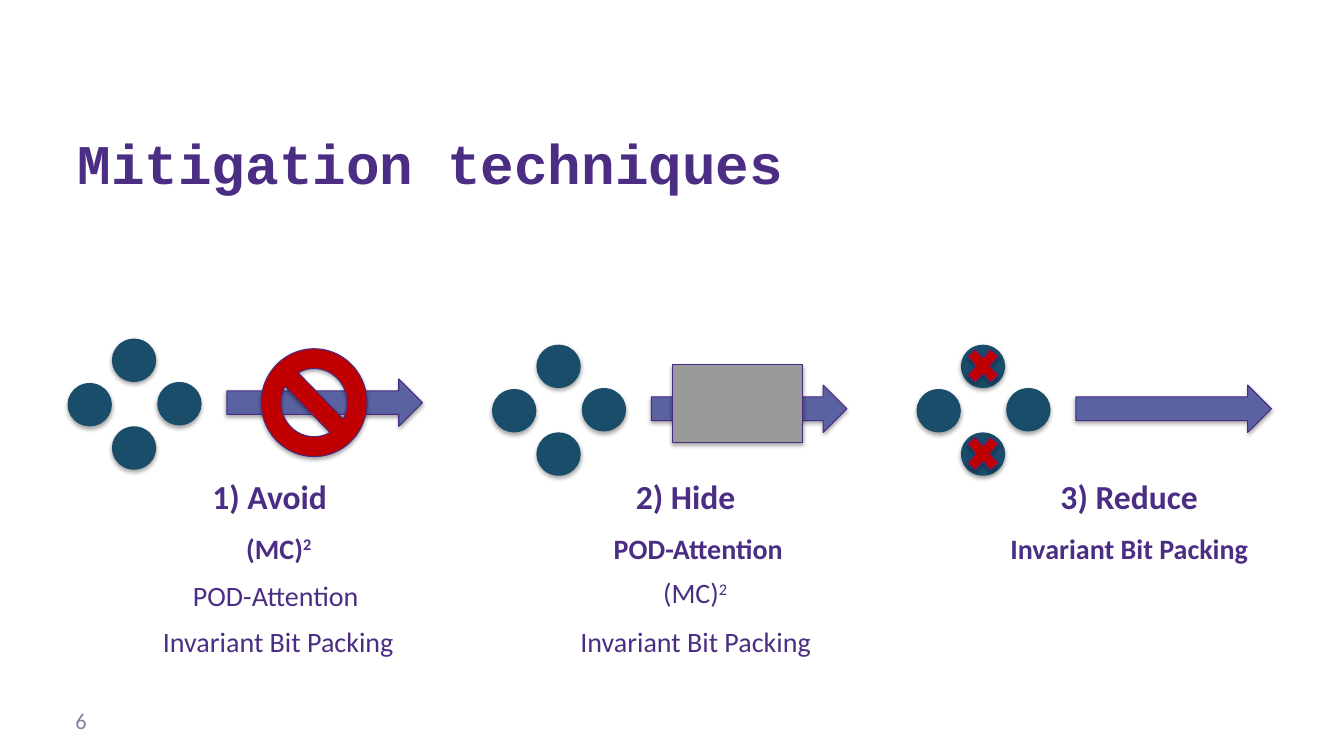
"""Build the slide on three mitigation techniques."""
import pptx
import pptx.dml.color
import pptx.enum.shapes
import pptx.enum.text
import pptx.oxml
import pptx.oxml.ns
import pptx.util
from pptx.util import Inches

SHAPE = pptx.enum.shapes.MSO_SHAPE
ALIGN = pptx.enum.text.PP_ALIGN
ANCHOR = pptx.enum.text.MSO_ANCHOR
COLORS = {
    "heading": "4B2E83", "number": "867EA3", "dot": "194D6A", "arrow": "5A62A1",
    "outline": "492B82", "ban": "C00000", "cover": "999999",
}
SHADOW = (
    f'<a:outerShdw {pptx.oxml.ns.nsdecls("a")} blurRad="39370" dist="22860" dir="5400000" '
    'rotWithShape="0"><a:srgbClr val="000000"><a:alpha val="35000"/></a:srgbClr></a:outerShdw>'
)
DOT_SIZE = (0.44, 0.43)
DOT_OFFSETS = [(0, 0.44), (0.44, 0), (0.44, 0.87), (0.89, 0.43)]
CLUSTER_LEFT, CLUSTER_PITCH = 0.67, 4.21
CLUSTER_TOPS = [3.36, 3.42, 3.42]
HEADINGS = [
    ("1) Avoid", (2, 4.67, 1.35, 0.5)),
    ("2) Hide", (6.2, 4.67, 1.2, 0.5)),
    ("3) Reduce", (10.41, 4.67, 1.58, 0.5)),
]
METHODS = [
    ("(MC)", "2", (2.33, 5.22, 0.87, 0.44), True),
    ("POD-Attention", "", (5.97, 5.22, 1.91, 0.44), True),
    ("Invariant Bit Packing", "", (9.91, 5.22, 2.58, 0.44), True),
    ("POD-Attention", "", (1.78, 5.69, 1.91, 0.44), False),
    ("Invariant Bit Packing", "", (1.47, 6.15, 2.58, 0.44), False),
    ("(MC)", "2", (6.46, 5.66, 0.87, 0.44), False),
    ("Invariant Bit Packing", "", (5.61, 6.15, 2.58, 0.44), False),
]


def rgb(name):
    return pptx.dml.color.RGBColor.from_string(COLORS[name])


def add_symbol(shapes, preset, box, fill, outlined=True):
    symbol = shapes.add_shape(preset, *map(Inches, box))
    symbol.fill.solid()
    symbol.fill.fore_color.rgb = rgb(fill)
    if outlined:
        symbol.line.color.rgb = rgb("outline")
        symbol.line.width = pptx.util.Pt(0.75)
    else:
        symbol.line.fill.background()
    symbol.shadow.inherit = False
    effects = symbol._element.spPr.find(pptx.oxml.ns.qn("a:effectLst"))
    effects.append(pptx.oxml.parse_xml(SHADOW))


def add_label(slide, text, box, size, bold=True, superscript="", color="heading",
              font="Calibri", align=ALIGN.CENTER, anchor=ANCHOR.TOP, wrap=False):
    frame = slide.shapes.add_textbox(*map(Inches, box)).text_frame
    frame.word_wrap = wrap
    frame.vertical_anchor = anchor
    frame.text = text
    paragraph = frame.paragraphs[0]
    paragraph.alignment = align
    if superscript:
        exponent = paragraph.add_run()
        exponent.text = superscript
        exponent._r.get_or_add_rPr().set("baseline", "30000")
    for run in paragraph.runs:
        run.font.name = font
        run.font.size = pptx.util.Pt(size)
        run.font.bold = bold
        run.font.color.rgb = rgb(color)


def add_cluster(slide, left, top):
    cluster = slide.shapes.add_group_shape()
    for across, down in DOT_OFFSETS:
        add_symbol(cluster.shapes, SHAPE.OVAL, (left + across, top + down, *DOT_SIZE),
                   "dot", outlined=False)
    add_symbol(cluster.shapes, SHAPE.RIGHT_ARROW, (left + 1.58, top + 0.4, 1.94, 0.47), "arrow")


def main():
    deck = pptx.Presentation()
    deck.slide_width, deck.slide_height = Inches(13.33), Inches(7.5)
    slide = deck.slides.add_slide(deck.slide_layouts[6])

    add_label(slide, "Mitigation techniques", (0.67, 0.54, 11.92, 1.45), 40,
              font="Courier New", align=ALIGN.LEFT, anchor=ANCHOR.BOTTOM, wrap=True)
    add_label(slide, "6", (0.65, 6.95, 3, 0.4), 16, bold=False, color="number",
              align=ALIGN.LEFT, anchor=ANCHOR.MIDDLE, wrap=True)

    for column, top in enumerate(CLUSTER_TOPS):
        add_cluster(slide, CLUSTER_LEFT + column * CLUSTER_PITCH, top)

    add_symbol(slide.shapes, SHAPE.NO_SYMBOL, (2.59, 3.46, 1.05, 1.07), "ban")
    add_symbol(slide.shapes, SHAPE.RECTANGLE, (6.67, 3.62, 1.29, 0.77), "cover")
    for cross_top in (3.38, 4.25):
        add_symbol(slide.shapes, SHAPE.MATH_MULTIPLY, (9.53, cross_top, 0.44, 0.5), "ban")

    for heading, box in HEADINGS:
        add_label(slide, heading, box, 24)
    for method, superscript, box, bold in METHODS:
        add_label(slide, method, box, 20, bold, superscript)

    deck.save("out.pptx")


if __name__ == "__main__":
    main()
